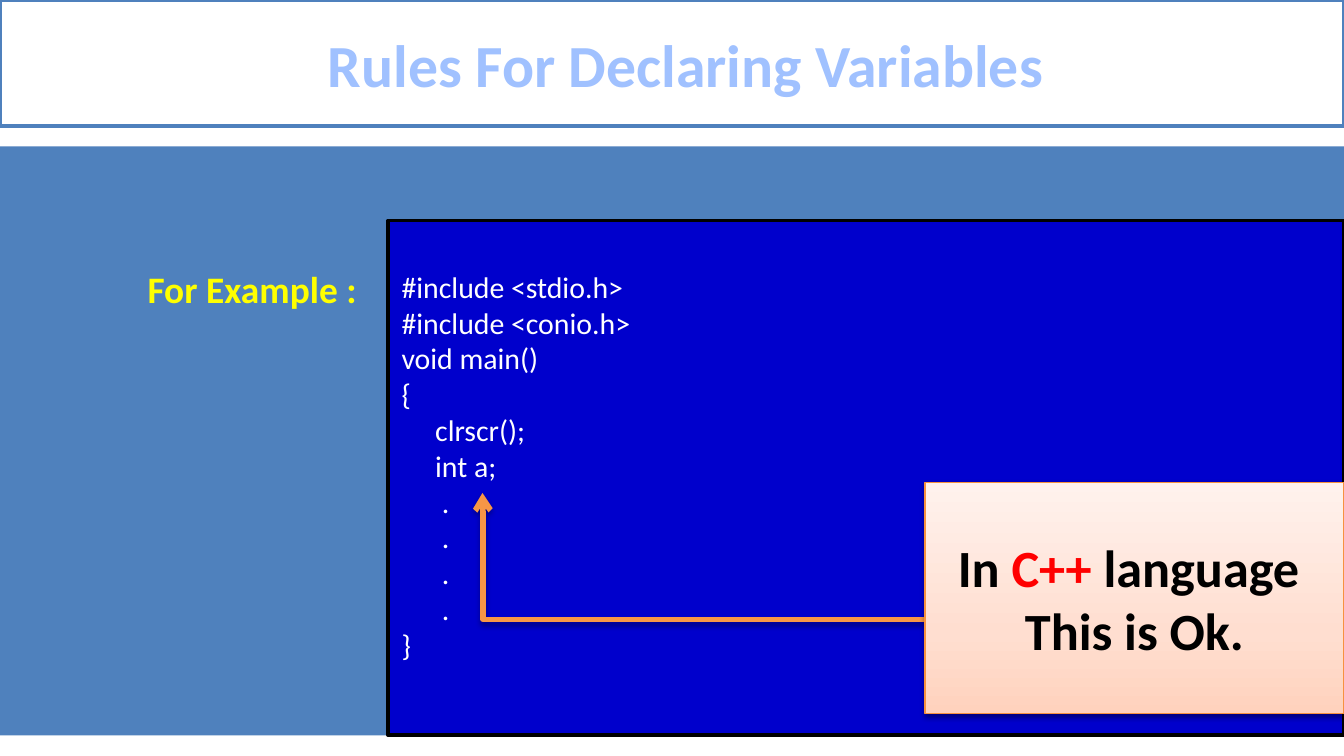
from copy import deepcopy

from lxml import etree
from pptx import Presentation
from pptx.dml.color import RGBColor
from pptx.enum.shapes import MSO_CONNECTOR, MSO_SHAPE
from pptx.enum.text import MSO_ANCHOR, PP_ALIGN
from pptx.oxml.ns import qn
from pptx.util import Cm, Pt

RECTANGLE, ELBOW = MSO_SHAPE.RECTANGLE, MSO_CONNECTOR.ELBOW
TOP, MIDDLE = MSO_ANCHOR.TOP, MSO_ANCHOR.MIDDLE
LEFT, CENTER = PP_ALIGN.LEFT, PP_ALIGN.CENTER

WIDTH, HEIGHT = 25.4, 14.29
BLUE, NAVY, ORANGE = "4F81BD", "0000CC", "F79646"
WHITE, BLACK, RED, YELLOW, PALE_BLUE = "FFFFFF", "000000", "FF0000", "FFFF00", "A0C1FF"

# Each paragraph is a list of (text, colour) runs.
TITLE = [[("Rules For Declaring Variables", PALE_BLUE)]]
EXAMPLE = [[("For Example :", YELLOW)]]
CODE_LINES = [
    "#include <stdio.h>",
    "#include <conio.h>",
    "void main()",
    "{",
    "     clrscr();",
    "     int a;",
    *["      ."] * 4,
    "}",
]
CODE = [[(line, WHITE)] for line in CODE_LINES]
VERDICT = [
    [("In ", BLACK), ("C++ ", RED), ("language ", BLACK)],
    [("This is Ok.", BLACK)],
]
VERDICT_GRADIENT = [(0, "FFD2BD"), (0.35, "FFDED0"), (1, "FFF2ED")]

PANEL_TOP, PANEL_BOTTOM = 2.77, 13.9
CODE_LEFT, CODE_TOP = 7.34, 4.17
VERDICT_LEFT, VERDICT_TOP = 17.48, 9.12
ARROW_START, ARROW_TIP = (VERDICT_LEFT, 11.71), (9.12, 9.32)


def color(value):
    return RGBColor.from_string(value)


def add_box(slide, left, top, width, height, fill, line=None, line_width=0):
    shape = slide.shapes.add_shape(RECTANGLE, Cm(left), Cm(top), Cm(width), Cm(height))
    shape.shadow.inherit = False
    shape.fill.solid()
    shape.fill.fore_color.rgb = color(fill)
    if line:
        shape.line.color.rgb = color(line)
        shape.line.width = Pt(line_width)
    else:
        shape.line.fill.background()
    return shape


def add_text_box(slide, left, top, width, height):
    return slide.shapes.add_textbox(Cm(left), Cm(top), Cm(width), Cm(height))


def write(shape, paragraphs, size, bold=True, align=LEFT, anchor=TOP):
    frame = shape.text_frame
    frame.word_wrap = True
    frame.vertical_anchor = anchor
    font_format = {"name": "Calibri", "size": Pt(size), "bold": bold}
    for index, runs in enumerate(paragraphs):
        paragraph = frame.add_paragraph() if index else frame.paragraphs[0]
        paragraph.alignment = align
        for text, run_color in runs:
            run = paragraph.add_run()
            run.text = text
            for name, value in font_format.items():
                setattr(run.font, name, value)
            run.font.color.rgb = color(run_color)


def fill_gradient(shape, stops, angle):
    shape.fill.gradient()
    shape.fill.gradient_angle = angle
    stop_list = next(shape.element.spPr.iter(qn("a:gsLst")))
    while len(stop_list) < len(stops):
        stop_list.append(deepcopy(stop_list[0]))
    for stop, (position, value) in zip(shape.fill.gradient_stops, stops):
        stop.position = position
        stop.color.rgb = color(value)


def set_shadow(shape, blur, distance, opacity):
    """Give the shape a black shadow that falls straight down."""
    properties = shape.element.spPr
    effects = properties.find(qn("a:effectLst"))
    if effects is None:
        effects = etree.SubElement(properties, qn("a:effectLst"))
    shadow = etree.SubElement(effects, qn("a:outerShdw"), blurRad=str(Pt(blur)),
                              dist=str(Pt(distance)), dir="5400000", rotWithShape="0")
    shade = etree.SubElement(shadow, qn("a:srgbClr"), val=BLACK)
    etree.SubElement(shade, qn("a:alpha"), val=str(opacity * 1000))


def add_elbow_arrow(slide, start, tip):
    arrow = slide.shapes.add_connector(ELBOW, *map(Cm, start + tip))
    arrow.line.color.rgb = color(ORANGE)
    arrow.line.width = Pt(3)
    properties = arrow.element.spPr
    etree.SubElement(properties.find(qn("a:ln")), qn("a:tailEnd"), type="arrow")
    adjustments = next(properties.iter(qn("a:avLst")))
    etree.SubElement(adjustments, qn("a:gd"), name="adj1", fmla="val 99900")
    return arrow


def main():
    presentation = Presentation()
    presentation.slide_width, presentation.slide_height = Cm(WIDTH), Cm(HEIGHT)
    slide = presentation.slides.add_slide(presentation.slide_layouts[6])

    add_box(slide, 0, PANEL_TOP, WIDTH, PANEL_BOTTOM - PANEL_TOP, BLUE)

    title = add_box(slide, 0, 0, WIDTH, 2.39, WHITE, BLUE, 2)
    title.text_frame.margin_left = Cm(0.78)
    write(title, TITLE, 32, align=CENTER, anchor=MIDDLE)

    write(add_text_box(slide, 2.54, 4.9, CODE_LEFT - 2.54, 1.1), EXAMPLE, 20)

    add_box(slide, CODE_LEFT, CODE_TOP, WIDTH - CODE_LEFT, PANEL_BOTTOM - CODE_TOP,
            NAVY, BLACK, 2)
    write(add_text_box(slide, CODE_LEFT, 4.95, 8.33, 8.64), CODE, 16, bold=False)

    arrow = add_elbow_arrow(slide, ARROW_START, ARROW_TIP)
    set_shadow(arrow, 3.1, 1.8, 35)

    verdict = add_box(slide, VERDICT_LEFT, VERDICT_TOP, WIDTH - VERDICT_LEFT, 4.37,
                      WHITE, "F69240", 0.75)
    fill_gradient(verdict, VERDICT_GRADIENT, 90)
    set_shadow(verdict, 3.1, 1.6, 38)
    write(verdict, VERDICT, 28, align=CENTER, anchor=MIDDLE)

    presentation.save("out.pptx")


if __name__ == "__main__":
    main()
